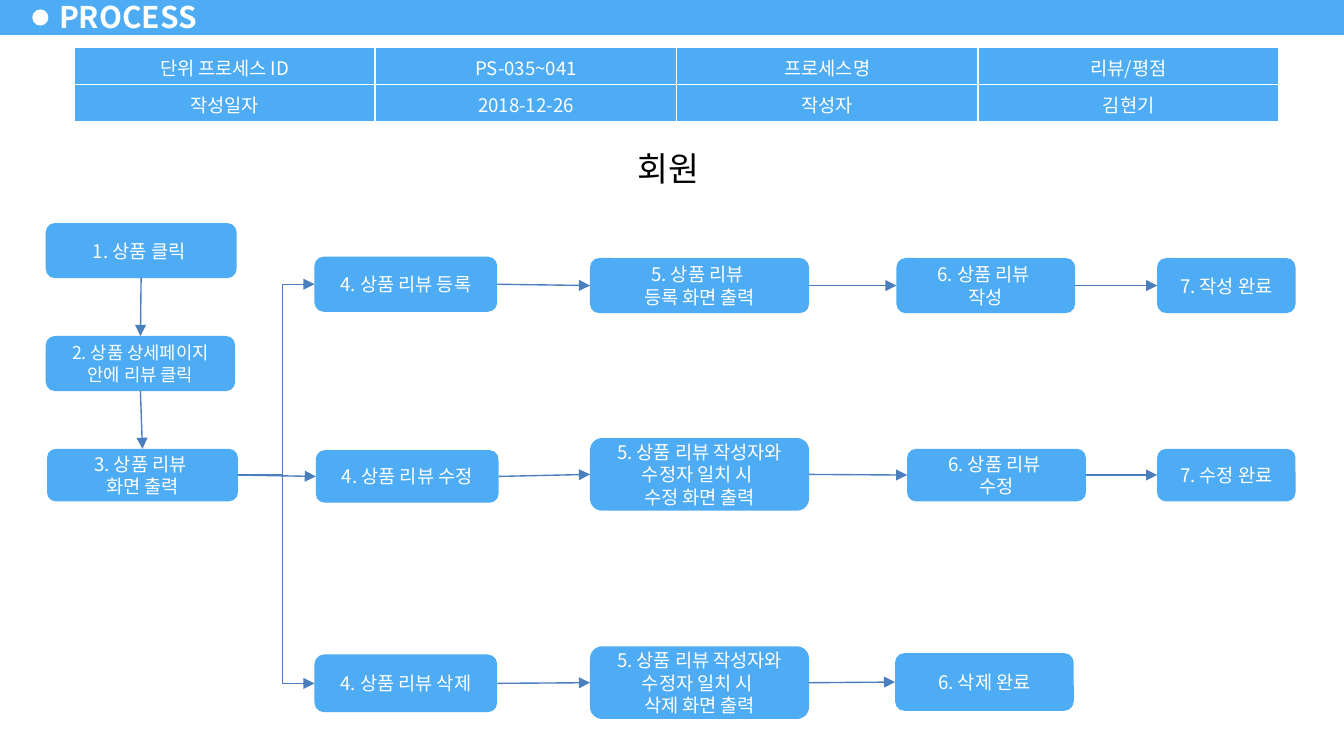
from dataclasses import dataclass

from lxml import etree
from pptx import Presentation
from pptx import util as u
from pptx.dml.color import RGBColor
from pptx.enum import shapes, text
from pptx.oxml.ns import qn

FONT = "Noto Sans CJK KR"
BLUE, LINE, WHITE, BLACK = "4DACF3", "4B7EBC", "FFFFFF", "000000"
MIDDLE, TOP = text.MSO_ANCHOR.MIDDLE, text.MSO_ANCHOR.TOP
CENTER, LEFT = text.PP_ALIGN.CENTER, text.PP_ALIGN.LEFT
TOP_SIDE, LEFT_SIDE, BOTTOM_SIDE, RIGHT_SIDE = range(4)
TRUNK_RATIO = 58200


@dataclass
class Step:
    label: str
    left: float
    top: float
    width: float
    height: float
    size: float = 10


ENTRY = [
    Step("1. 상품 클릭 ", 0.34, 1.66, 1.42, 0.41),
    Step("2. 상품 상세페이지\n안에 리뷰 클릭", 0.34, 2.5, 1.41, 0.41, 9.5),
    Step("3. 상품 리뷰 \n화면 출력", 0.35, 3.34, 1.42, 0.39),
]
BRANCHES = [
    [
        Step("4. 상품 리뷰 등록", 2.34, 1.91, 1.36, 0.41),
        Step("5. 상품 리뷰 \v등록 화면 출력", 4.39, 1.92, 1.63, 0.41),
        Step("6. 상품 리뷰 \v작성", 6.67, 1.92, 1.33, 0.41),
        Step("7. 작성 완료", 8.61, 1.92, 1.03, 0.41),
    ],
    [
        Step("4. 상품 리뷰 수정", 2.35, 3.35, 1.36, 0.39),
        Step("5. 상품 리뷰 작성자와\v수정자 일치 시 \n수정 화면 출력", 4.39, 3.26, 1.63, 0.54),
        Step("6. 상품 리뷰 \v수정", 6.75, 3.34, 1.33, 0.39),
        Step("7. 수정 완료", 8.61, 3.34, 1.03, 0.39),
    ],
    [
        Step("4. 상품 리뷰 삭제", 2.34, 4.87, 1.36, 0.43),
        Step("5. 상품 리뷰 작성자와\v수정자 일치 시 \n삭제 화면 출력", 4.39, 4.81, 1.63, 0.54),
        Step("6. 삭제 완료", 6.66, 4.86, 1.33, 0.43),
    ],
]
HEADER = [
    ["단위 프로세스 ID", "PS-035~041", "프로세스명", "리뷰/평점"],
    ["작성일자", "2018-12-26", "작성자", "김현기"],
]


def length(inches: float) -> u.Length:
    return u.Cm(inches * 2.54)


def color(value: str) -> RGBColor:
    return RGBColor.from_string(value)


def write(frame, words: str, size: float, ink: str = WHITE, align=CENTER, bold: bool = False) -> None:
    frame.text = words
    for para in frame.paragraphs:
        para.alignment = align
        para.font.name = FONT
        para.font.size = u.Pt(size)
        para.font.bold = bold
        para.font.color.rgb = color(ink)
        for span in para.runs:
            properties = span._r.get_or_add_rPr()
            etree.SubElement(properties, qn("a:ea"), typeface=FONT)


def add_box(page, kind, left: float, top: float, width: float, height: float, fill: str):
    box = page.shapes.add_shape(kind, *map(length, (left, top, width, height)))
    box.shadow.inherit = False
    box.fill.solid()
    box.fill.fore_color.rgb = color(fill)
    box.line.fill.background()
    return box


def add_step(page, step: Step):
    box = add_box(page, shapes.MSO_SHAPE.ROUNDED_RECTANGLE,
                  step.left, step.top, step.width, step.height, BLUE)
    box.text_frame.word_wrap = True
    box.text_frame.vertical_anchor = MIDDLE
    write(box.text_frame, step.label, step.size)
    return box


def add_arrow(page, source, target, start: int = RIGHT_SIDE, end: int = LEFT_SIDE, elbow: bool = False) -> None:
    kind = shapes.MSO_CONNECTOR.ELBOW if elbow else shapes.MSO_CONNECTOR.STRAIGHT
    arrow = page.shapes.add_connector(kind, 0, 0, 0, 0)
    arrow.begin_connect(source, start)
    arrow.end_connect(target, end)
    arrow.line.color.rgb = color(LINE)
    arrow.line.width = u.Pt(0.75)
    properties = arrow._element.spPr
    etree.SubElement(properties.find(qn("a:ln")), qn("a:tailEnd"), type="triangle")
    etree.SubElement(properties, qn("a:effectLst"))
    if elbow:
        guides = properties.find(qn("a:prstGeom")).find(qn("a:avLst"))
        etree.SubElement(guides, qn("a:gd"), name="adj1", fmla=f"val {TRUNK_RATIO}")


def add_borders(cell) -> None:
    properties = cell._tc.get_or_add_tcPr()
    for index, side in enumerate(("lnL", "lnR", "lnT", "lnB")):
        border = etree.Element(qn(f"a:{side}"), w=str(u.Pt(1)))
        fill = etree.SubElement(border, qn("a:solidFill"))
        etree.SubElement(fill, qn("a:srgbClr"), val=WHITE)
        properties.insert(index, border)


def add_header(page) -> None:
    table = page.shapes.add_table(2, 4, *map(length, (0.55, 0.35, 8.97, 0.56))).table
    for row, words in zip(table.rows, HEADER):
        for cell, word in zip(row.cells, words):
            cell.fill.solid()
            cell.fill.fore_color.rgb = color(BLUE)
            cell.vertical_anchor = MIDDLE
            write(cell.text_frame, word, 10)
            add_borders(cell)


def add_title(page) -> None:
    add_box(page, shapes.MSO_SHAPE.RECTANGLE, 0, -0.02, 10, 0.28, BLUE)
    add_box(page, shapes.MSO_SHAPE.OVAL, 0.24, 0.07, 0.12, 0.12, WHITE)
    title = page.shapes.add_textbox(*map(length, (0.35, -0.04, 1.22, 0.32)))
    frame = title.text_frame
    frame.word_wrap = True
    frame.vertical_anchor = MIDDLE
    frame.margin_left = frame.margin_right = length(0.09)
    frame.margin_top = frame.margin_bottom = length(0.04)
    write(frame, "PROCESS", 16, align=LEFT, bold=True)


def add_flow(page) -> None:
    entry = [add_step(page, step) for step in ENTRY]
    branches = [[add_step(page, step) for step in branch] for branch in BRANCHES]
    for source, target in zip(entry, entry[1:]):
        add_arrow(page, source, target, BOTTOM_SIDE, TOP_SIDE)
    for index, branch in enumerate(branches):
        add_arrow(page, entry[-1], branch[0], elbow=index != 1)
        for source, target in zip(branch, branch[1:]):
            add_arrow(page, source, target)


def add_role(page) -> None:
    role = add_box(page, shapes.MSO_SHAPE.RECTANGLE, 3.94, 1.05, 2.07, 0.41, WHITE)
    role.text_frame.word_wrap = True
    role.text_frame.auto_size = text.MSO_AUTO_SIZE.SHAPE_TO_FIT_TEXT
    role.text_frame.vertical_anchor = TOP
    write(role.text_frame, "회원", 18, BLACK)


deck = Presentation()
deck.slide_width = u.Cm(25.4)
deck.slide_height = deck.slide_width * 9 // 16
page = deck.slides.add_slide(deck.slide_layouts[6])
add_title(page)
add_header(page)
add_flow(page)
add_role(page)
deck.save("out.pptx")
